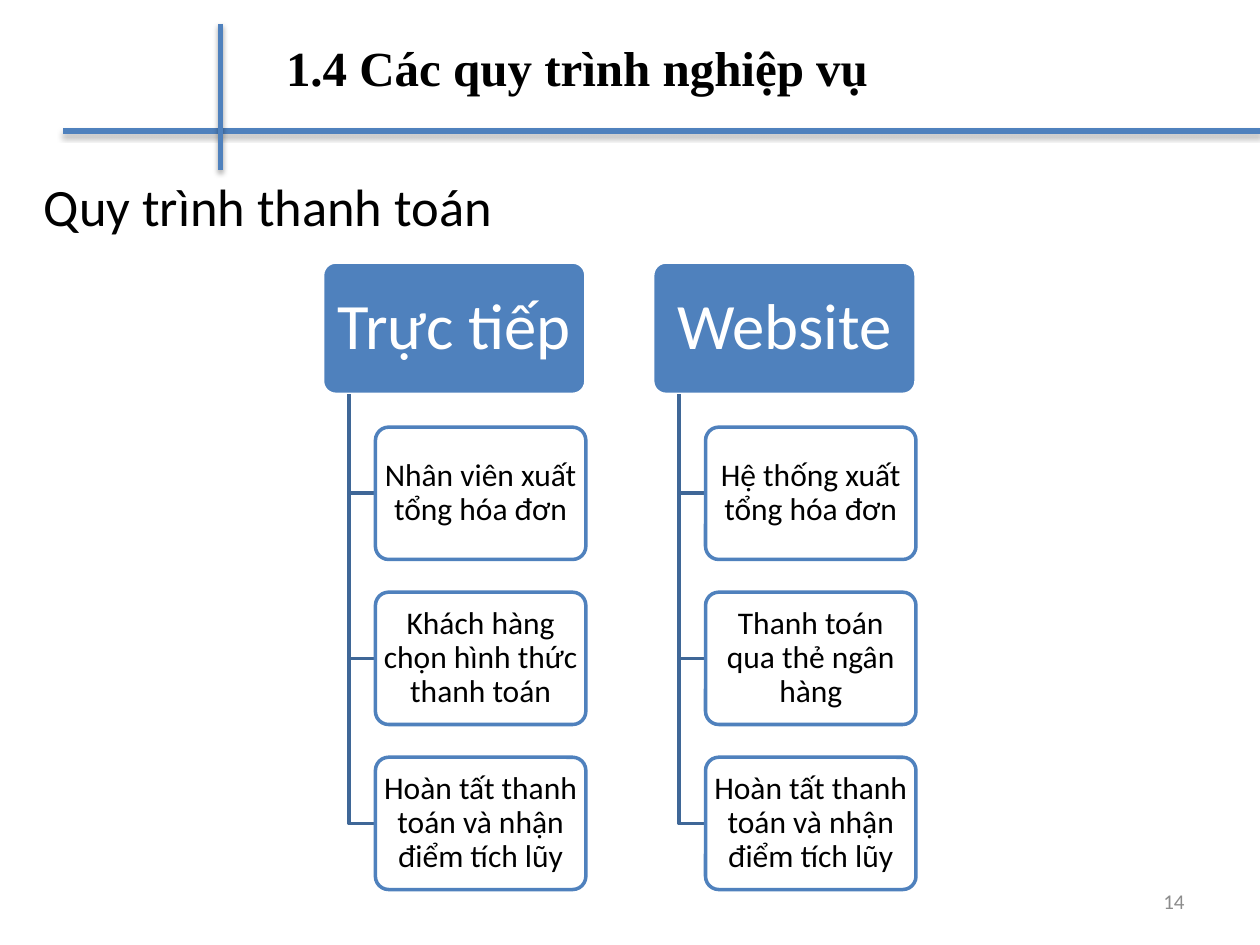
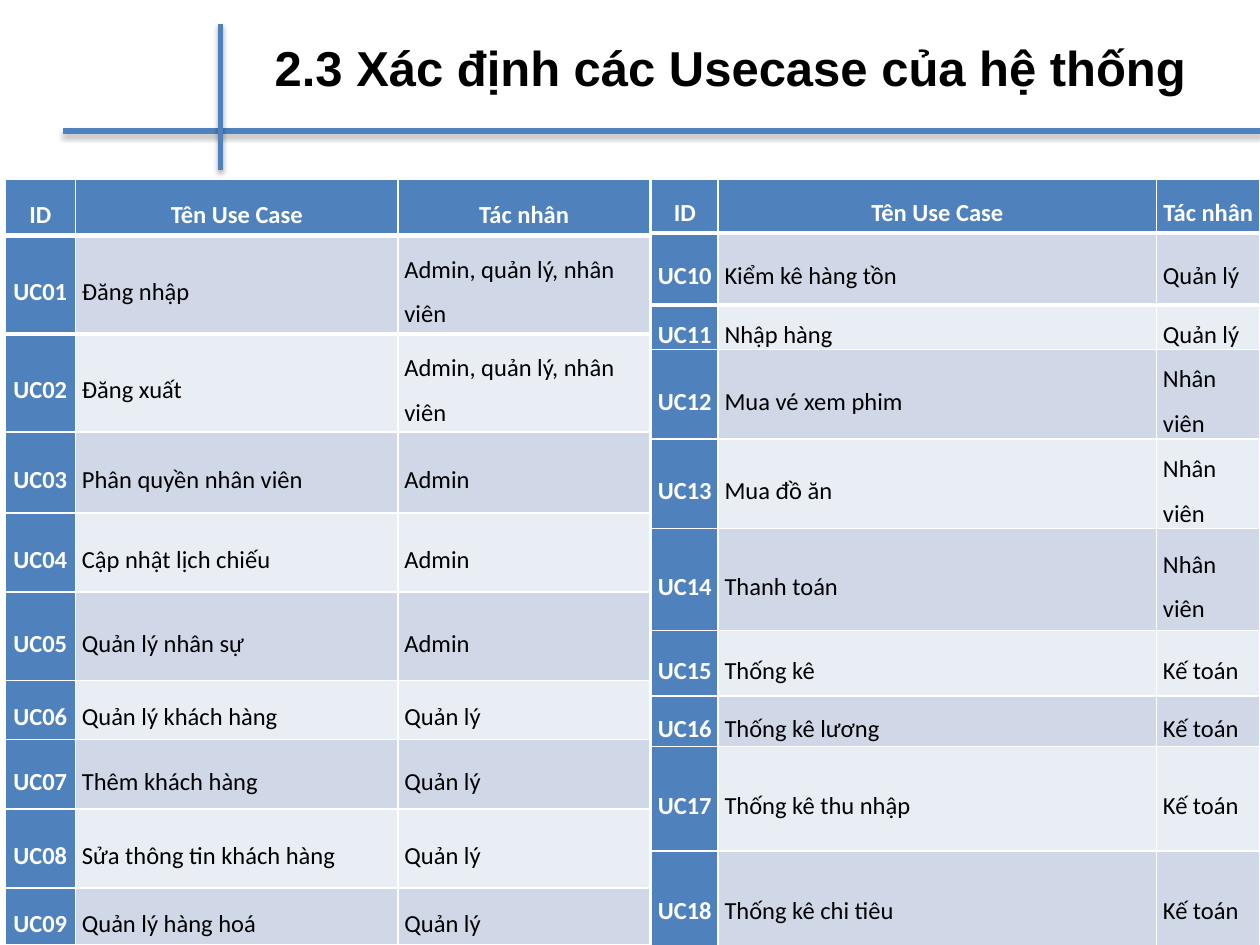
from dataclasses import dataclass

from lxml import etree
from pptx import Presentation
from pptx.dml.color import RGBColor
from pptx.enum.shapes import MSO_CONNECTOR, MSO_SHAPE
from pptx.enum.text import MSO_ANCHOR, MSO_AUTO_SIZE, PP_ALIGN
from pptx.oxml.ns import qn
from pptx.util import Inches, Pt

LEFT, CENTER, RIGHT = PP_ALIGN.LEFT, PP_ALIGN.CENTER, PP_ALIGN.RIGHT
TOP, MIDDLE = MSO_ANCHOR.TOP, MSO_ANCHOR.MIDDLE
STRAIGHT, ROUNDED = MSO_CONNECTOR.STRAIGHT, MSO_SHAPE.ROUNDED_RECTANGLE
NO_AUTOFIT = MSO_AUTO_SIZE.NONE
TITLE_ONLY = 5

BLUE, DARK_BLUE = "4F81BD", "3F6797"
BAND_DARK, BAND_LIGHT = "D0D8E8", "E9EDF4"
WHITE, BLACK, GREY = "FFFFFF", "000000", "8C8C8C"
BODY_FONT = "Calibri"

# Process tree measurements, in inches
TREE_TOP, NODE_H, NODE_PITCH = 2.08, 1.05, 1.31
HEAD_W, STEP_W = 2.09, 1.67
TRUNK_DX, STEP_DX = 0.21, 0.42


@dataclass
class Style:
    size: float
    color: str = BLACK
    font: str = BODY_FONT
    bold: bool = False
    align: PP_ALIGN = LEFT
    spacing: float = 1.0


@dataclass
class NodeStyle:
    width: float
    fill: str
    alpha: int
    line: str
    inset_x: float
    inset_y: float
    text: Style


@dataclass
class Process:
    left: float
    name: str
    steps: list[str]


@dataclass
class UseCaseTable:
    left: float
    first_id: int
    col_widths: list[float]
    row_heights: list[float]
    cases: list[tuple[str, str]]


HEAD = NodeStyle(HEAD_W, BLUE, 100, WHITE, 0.08, 0.05,
                 Style(37, WHITE, align=CENTER, spacing=0.9))
STEP = NodeStyle(STEP_W, WHITE, 90, BLUE, 0.03, 0.03,
                 Style(18, align=CENTER, spacing=0.9))
CELL_HEAD = Style(14, WHITE, bold=True, align=CENTER, spacing=1.5)
CELL_BODY = Style(14, spacing=1.5)

FINAL_STEP = "Hoàn tất thanh toán và nhận điểm tích lũy"
PROCESSES = [
    Process(2.56, "Trực tiếp", ["Nhân viên xuất tổng hóa đơn",
                                "Khách hàng chọn hình thức thanh toán", FINAL_STEP]),
    Process(5.18, "Website", ["Hệ thống xuất tổng hóa đơn",
                              "Thanh toán qua thẻ ngân hàng", FINAL_STEP]),
]

TABLE_HEADER = ("ID", "Tên Use Case", "Tác nhân")
EVERYONE = "Admin, quản lý, nhân viên"
ADMIN, MANAGER, STAFF, ACCOUNTANT = "Admin", "Quản lý", "Nhân viên", "Kế toán"
TABLES = [
    UseCaseTable(
        0.04, 1, [0.56, 2.56, 2],
        [0.45, 0.78, 0.78, 0.64, 0.63, 0.7, 0.47, 0.55, 0.63, 0.45],
        [("Đăng nhập", EVERYONE), ("Đăng xuất", EVERYONE),
         ("Phân quyền nhân viên", ADMIN), ("Cập nhật lịch chiếu", ADMIN),
         ("Quản lý nhân sự", ADMIN), ("Quản lý khách hàng", MANAGER),
         ("Thêm khách hàng", MANAGER), ("Sửa thông tin khách hàng", MANAGER),
         ("Quản lý hàng hoá", MANAGER)]),
    UseCaseTable(
        5.17, 10, [0.53, 3.48, 0.82],
        [0.43, 0.57, 0.32, 0.67, 0.67, 0.81, 0.52, 0.4, 0.83, 0.83],
        [("Kiểm kê hàng tồn", MANAGER), ("Nhập hàng", MANAGER),
         ("Mua vé xem phim", STAFF), ("Mua đồ ăn", STAFF), ("Thanh toán", STAFF),
         ("Thống kê", ACCOUNTANT), ("Thống kê lương", ACCOUNTANT),
         ("Thống kê thu nhập", ACCOUNTANT), ("Thống kê chi tiêu", ACCOUNTANT)]),
]


def rgb(color: str) -> RGBColor:
    return RGBColor.from_string(color)


def write(tf, text: str, style: Style) -> None:
    p = tf.paragraphs[0]
    p.alignment = style.align
    p.line_spacing = style.spacing
    r = p.add_run()
    r.text = text
    r.font.name = style.font
    r.font.size = Pt(style.size)
    r.font.bold = style.bold
    r.font.color.rgb = rgb(style.color)


def set_line(sp, color: str, width: float) -> None:
    sp.line.color.rgb = rgb(color)
    sp.line.width = Pt(width)


def add_text(slide, box: tuple, text: str, style: Style, anchor=TOP) -> None:
    tf = slide.shapes.add_textbox(*map(Inches, box)).text_frame
    tf.word_wrap = True
    tf.vertical_anchor = anchor
    write(tf, text, style)


# Shared header: title and two crossing lines with a soft shadow
def add_header_line(slide, x1: float, y1: float, x2: float, y2: float) -> None:
    line = slide.shapes.add_connector(STRAIGHT, *map(Inches, (x1, y1, x2, y2)))
    set_line(line, BLUE, 3)
    effects = etree.SubElement(line._element.spPr, qn("a:effectLst"))
    shadow = etree.SubElement(effects, qn("a:outerShdw"), blurRad=str(Pt(3.1)),
                              dist=str(Pt(1.8)), dir="5400000", rotWithShape="0")
    black = etree.SubElement(shadow, qn("a:srgbClr"), val=BLACK)
    etree.SubElement(black, qn("a:alpha"), val="35000")


def add_titled_slide(prs, title: str, box: tuple, font: str):
    slide = prs.slides.add_slide(prs.slide_layouts[TITLE_ONLY])
    sp = slide.shapes.title
    sp.left, sp.top, sp.width, sp.height = map(Inches, box)
    tf = sp.text_frame
    tf.word_wrap = True
    tf.auto_size = NO_AUTOFIT
    tf.vertical_anchor = TOP
    write(tf, title, Style(28, font=font, bold=True))
    add_header_line(slide, 0.5, 1.04, 10, 1.04)
    add_header_line(slide, 1.75, 0.19, 1.75, 1.35)
    return slide


# Process tree
def add_node(slide, left: float, top: float, text: str, style: NodeStyle) -> None:
    sp = slide.shapes.add_shape(
        ROUNDED, *map(Inches, (left, top, style.width, NODE_H)))
    sp.adjustments[0] = 0.1
    sp.shadow.inherit = False
    sp.fill.solid()
    sp.fill.fore_color.rgb = rgb(style.fill)
    if style.alpha < 100:
        color = sp._element.spPr.find(qn("a:solidFill"))[0]
        etree.SubElement(color, qn("a:alpha"), val=str(style.alpha * 1000))
    set_line(sp, style.line, 2)
    tf = sp.text_frame
    tf.word_wrap = True
    tf.vertical_anchor = MIDDLE
    tf.margin_left = tf.margin_right = Inches(style.inset_x)
    tf.margin_top = tf.margin_bottom = Inches(style.inset_y)
    write(tf, text, style.text)


def add_branch(slide, x1: float, y1: float, x2: float, y2: float) -> None:
    fb = slide.shapes.build_freeform(Inches(x1), Inches(y1))
    corners = [(Inches(x1), Inches(y2)), (Inches(x2), Inches(y2))]
    fb.add_line_segments(corners, close=False)
    sp = fb.convert_to_shape()
    sp.shadow.inherit = False
    sp.fill.background()
    set_line(sp, DARK_BLUE, 2)


def add_process(slide, process: Process) -> None:
    add_node(slide, process.left, TREE_TOP, process.name, HEAD)
    trunk, step_left = process.left + TRUNK_DX, process.left + STEP_DX
    for i, step in enumerate(process.steps, 1):
        top = TREE_TOP + i * NODE_PITCH
        add_branch(slide, trunk, TREE_TOP + NODE_H, step_left, top + NODE_H / 2)
        add_node(slide, step_left, top, step, STEP)


# Use case tables: the table style draws the thin white rules
def add_rule(cell, side: str, width: float) -> None:
    rule = etree.Element(qn(f"a:{side}"), w=str(Pt(width)))
    fill = etree.SubElement(rule, qn("a:solidFill"))
    etree.SubElement(fill, qn("a:srgbClr"), val=WHITE)
    cell._tc.get_or_add_tcPr().insert(0, rule)


def add_use_cases(slide, spec: UseCaseTable) -> None:
    rows = [TABLE_HEADER] + [(f"UC{n:02}", *case)
                             for n, case in enumerate(spec.cases, spec.first_id)]
    box = (spec.left, 1.42, sum(spec.col_widths), sum(spec.row_heights))
    table = slide.shapes.add_table(
        len(rows), len(TABLE_HEADER), *map(Inches, box)).table
    table.first_col = True
    for col, width in zip(table.columns, spec.col_widths):
        col.width = Inches(width)
    for row, height in zip(table.rows, spec.row_heights):
        row.height = Inches(height)
    for i, values in enumerate(rows):
        band = BAND_DARK if i % 2 else BAND_LIGHT
        for j, value in enumerate(values):
            is_head = i == 0 or j == 0
            cell = table.cell(i, j)
            cell.fill.solid()
            cell.fill.fore_color.rgb = rgb(BLUE if is_head else band)
            cell.vertical_anchor = MIDDLE
            cell.margin_left = cell.margin_right = Inches(0.05)
            cell.margin_top = cell.margin_bottom = 0
            write(cell.text_frame, value, CELL_HEAD if is_head else CELL_BODY)
            if i == 0:
                add_rule(cell, "lnB", 3)
            elif i == 1:
                add_rule(cell, "lnT", 3)


def main() -> None:
    prs = Presentation()
    prs.slide_width, prs.slide_height = Inches(10), Inches(7.5)

    # Payment process
    slide = add_titled_slide(prs, "1.4 Các quy trình nghiệp vụ",
                             (2.17, 0.25, 5, 1.08), "Times New Roman")
    add_text(slide, (0.25, 1.33, 8.83, 0.61), "Quy trình thanh toán", Style(30))
    for process in PROCESSES:
        add_process(slide, process)
    add_text(slide, (7.17, 6.95, 2.33, 0.4), "14",
             Style(12, GREY, align=RIGHT), MIDDLE)

    # Use cases
    slide = add_titled_slide(prs, "2.3 Xác định các Usecase của hệ thống",
                             (2.08, 0.25, 7.52, 0.57), "Arial")
    for spec in TABLES:
        add_use_cases(slide, spec)

    prs.save("out.pptx")


if __name__ == "__main__":
    main()
